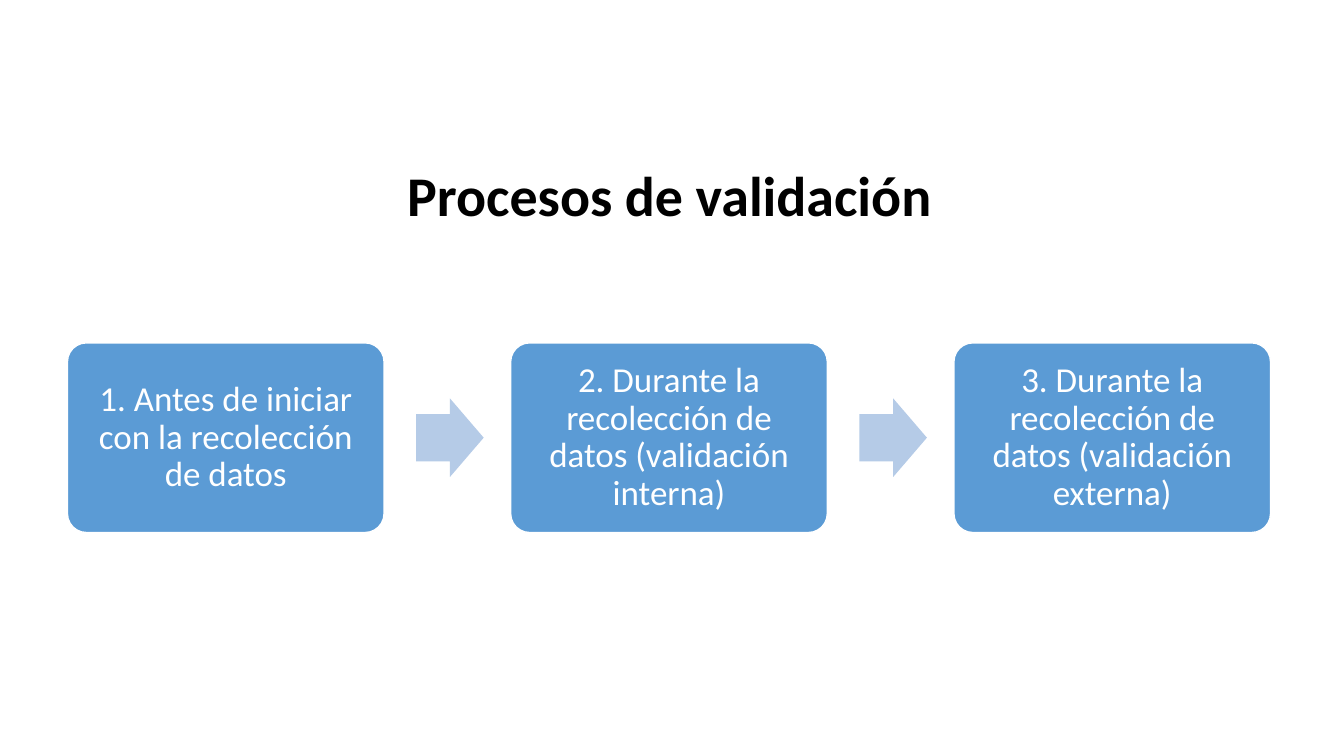
from pptx import Presentation
from pptx.dml.color import RGBColor
from pptx.enum.shapes import MSO_SHAPE
from pptx.enum.text import MSO_ANCHOR, PP_ALIGN
from pptx.util import Cm, Pt

COLOURS = {"title": "000000", "step": "5B9BD5", "arrow": "B5CBE7", "white": "FFFFFF"}
FONT = "Calibri"
STEPS = [
    "1. Antes de iniciar con la recolección de datos",
    "2. Durante la recolección de datos (validación interna)",
    "3. Durante la recolección de datos (validación externa)",
]

# Step row, in centimetres
ROW_LEFT, ROW_TOP, PITCH = 1.7, 8.64, 11.17
STEP_WIDTH, STEP_HEIGHT = 7.98, 4.78
ARROW_WIDTH, ARROW_HEIGHT, ARROW_GAP = 1.7, 1.98, 0.81


def colour(name):
    return RGBColor.from_string(COLOURS[name])


def write(shape, text, size, colour_name, bold=False):
    frame = shape.text_frame
    frame.word_wrap = True
    frame.vertical_anchor = MSO_ANCHOR.MIDDLE
    frame.margin_left = frame.margin_right = Cm(0.25)
    frame.margin_top = frame.margin_bottom = Cm(0.25)
    frame.text = text
    para = frame.paragraphs[0]
    para.alignment = PP_ALIGN.CENTER
    para.line_spacing = 0.9
    font = para.runs[0].font
    font.name, font.size, font.bold = FONT, Pt(size), bold
    font.color.rgb = colour(colour_name)


def add_title(page, text):
    box = page.shapes.add_textbox(Cm(1.68), Cm(3.15), Cm(30.38), Cm(3.68))
    write(box, text, 40, "title", bold=True)


def add_filled(page, kind, left, top, width, height, fill, adjustments):
    shape = page.shapes.add_shape(kind, Cm(left), Cm(top), Cm(width), Cm(height))
    shape.shadow.inherit = False
    shape.fill.solid()
    shape.fill.fore_color.rgb = colour(fill)
    shape.line.fill.background()
    for index, value in enumerate(adjustments):
        shape.adjustments[index] = value
    return shape


def add_step(page, left, text):
    box = add_filled(page, MSO_SHAPE.ROUNDED_RECTANGLE, left, ROW_TOP,
                     STEP_WIDTH, STEP_HEIGHT, "step", [0.1])
    box.line.color.rgb = colour("white")
    box.line.width = Pt(1)
    write(box, text, 25, "white")


def add_arrow(page, left):
    top = ROW_TOP + (STEP_HEIGHT - ARROW_HEIGHT) / 2
    add_filled(page, MSO_SHAPE.RIGHT_ARROW, left, top,
               ARROW_WIDTH, ARROW_HEIGHT, "arrow", [0.6, 0.5])


def main():
    deck = Presentation()
    deck.slide_width, deck.slide_height = Cm(33.87), Cm(19.05)
    page = deck.slides.add_slide(deck.slide_layouts[6])

    add_title(page, "Procesos de validación")

    # Steps, with an arrow after each but the last
    for index, text in enumerate(STEPS):
        left = ROW_LEFT + index * PITCH
        add_step(page, left, text)
        if index < len(STEPS) - 1:
            add_arrow(page, left + STEP_WIDTH + ARROW_GAP)

    deck.save("out.pptx")


if __name__ == "__main__":
    main()
